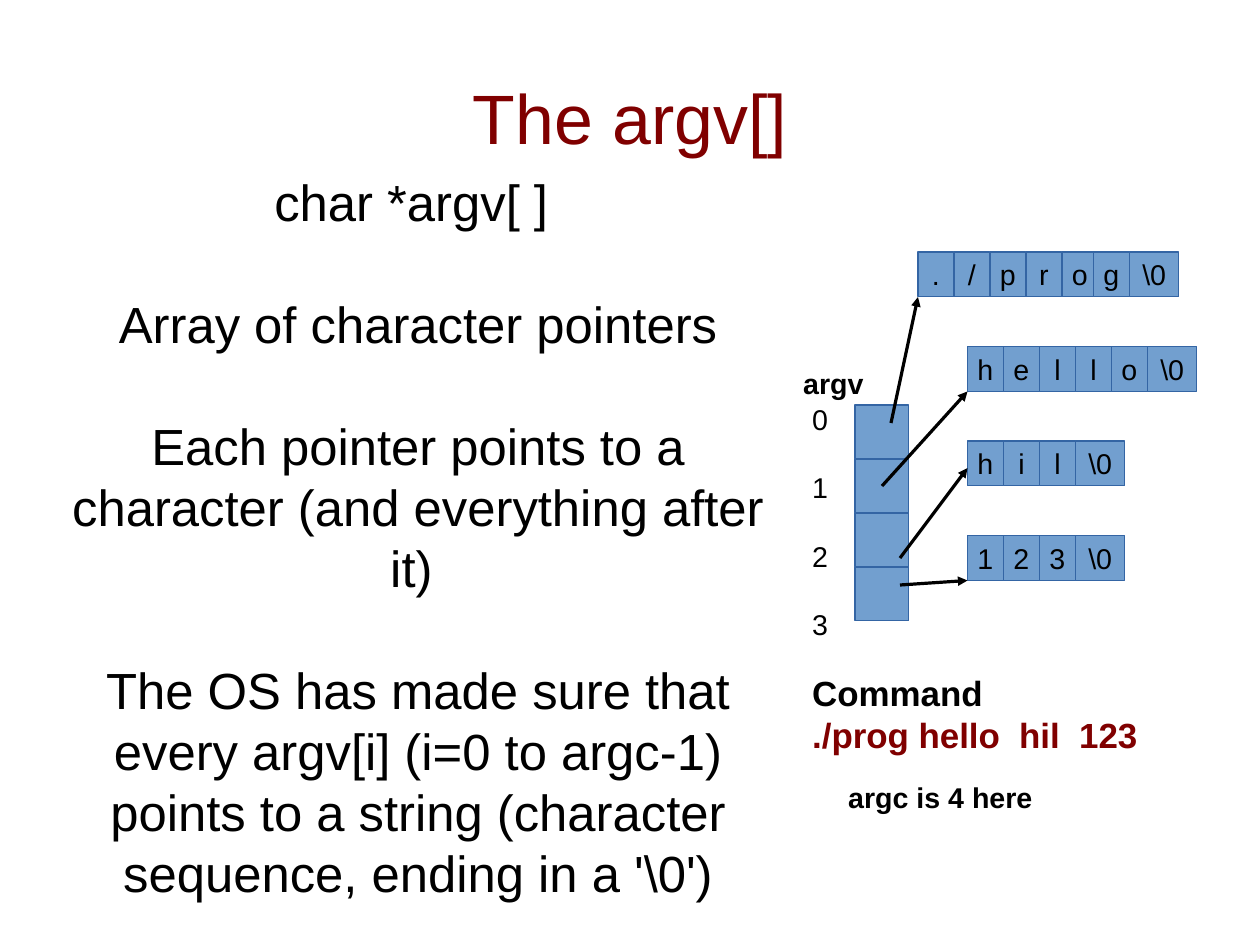
from lxml.etree import SubElement
from pptx import Presentation
from pptx.dml.color import RGBColor
from pptx.enum.shapes import MSO_CONNECTOR, MSO_SHAPE
from pptx.enum.text import MSO_ANCHOR, MSO_AUTO_SIZE, PP_ALIGN
from pptx.oxml.ns import qn
from pptx.util import Cm, Pt

BLACK = RGBColor(0x00, 0x00, 0x00)
MAROON = RGBColor(0x80, 0x00, 0x00)
BLUE = RGBColor(0x72, 0x9F, 0xCF)
DARK_BLUE = RGBColor(0x34, 0x65, 0xA4)

FONT = "Arial"
LINE_HEIGHT = 1.2
CELL_W, NUL_W, CELL_H = 0.8, 1.1, 1.0
STRINGS_TOP, STRING_STEP = 5.6, 2.1
ARGV_LEFT, ARGV_TOP, ARGV_SIZE = 19, 9, 1.2

BODY = [
    "char *argv[ ] ",
    "Array of character pointers",
    "Each pointer points to a character (and everything after it) ",
    "The OS has made sure that every argv[i] (i=0 to argc-1) points to a string "
    "(character sequence, ending in a '\\0')",
]
STRINGS = [("./prog", 20.4), ("hello", 21.5), ("hil", 21.5), ("123", 21.5)]
ARROWS = [
    (19.8, 9.4, 20.4, 6.6),
    (19.6, 10.8, 21.5, 8.7),
    (20, 12.4, 21.5, 10.4),
    (20, 13, 21.5, 12.9),
]


def place(sp, left, top, width, height):
    sp.left, sp.top, sp.width, sp.height = Cm(left), Cm(top), Cm(width), Cm(height)


def write(tf, *lines, size=18, color=BLACK, bold=False, align=PP_ALIGN.LEFT, gap=0):
    for i, line in enumerate(lines):
        p = tf.paragraphs[0] if i == 0 else tf.add_paragraph()
        p.alignment = align
        p.space_before = Pt(gap if i else 0)
        p.space_after = Pt(0)
        r = p.add_run()
        r.text = line
        r.font.name = FONT
        r.font.size = Pt(size)
        r.font.bold = bold
        r.font.color.rgb = color


def fill_placeholder(sp, box, *lines, **fmt):
    place(sp, *box)
    tf = sp.text_frame
    tf.word_wrap = True
    tf.auto_size = MSO_AUTO_SIZE.NONE
    tf.vertical_anchor = MSO_ANCHOR.MIDDLE
    tf.margin_left = tf.margin_right = tf.margin_top = tf.margin_bottom = 0
    write(tf, *lines, align=PP_ALIGN.CENTER, **fmt)


def add_label(slide, box, *lines, **fmt):
    tf = slide.shapes.add_textbox(*(Cm(v) for v in box)).text_frame
    tf.word_wrap = True
    write(tf, *lines, **fmt)
    return tf


def add_cell(slide, left, top, width, height, text=""):
    sp = slide.shapes.add_shape(
        MSO_SHAPE.RECTANGLE, Cm(left), Cm(top), Cm(width), Cm(height))
    sp.shadow.inherit = False
    sp.fill.solid()
    sp.fill.fore_color.rgb = BLUE
    sp.line.color.rgb = DARK_BLUE
    sp.line.width = Pt(0)
    if text:
        sp.text_frame.word_wrap = False
        sp.text_frame.vertical_anchor = MSO_ANCHOR.MIDDLE
        write(sp.text_frame, text, align=PP_ALIGN.CENTER)


def add_string(slide, text, left, top):
    for char in text:
        add_cell(slide, left, top, CELL_W, CELL_H, char)
        left += 0.7 if text == "./prog" and char == "o" else CELL_W
    add_cell(slide, left, top, NUL_W, CELL_H, "\\0")


def add_arrow(slide, *ends):
    line = slide.shapes.add_connector(MSO_CONNECTOR.STRAIGHT, *(Cm(v) for v in ends))
    line.line.color.rgb = BLACK
    line.line.width = Pt(0)
    SubElement(line.line._get_or_add_ln(), qn("a:tailEnd"), type="triangle")
    SubElement(line._element.spPr, qn("a:effectLst"))


def main():
    prs = Presentation()
    prs.slide_width, prs.slide_height = Cm(28), Cm(21)
    slide = prs.slides.add_slide(prs.slide_layouts[0])

    title, body = slide.placeholders
    fill_placeholder(title, (1.4, 0.84, 25.2, 3.5), "The argv[]", size=44, color=MAROON)
    fill_placeholder(body, (1.4, 3.7, 15.8, 16.46), *BODY, size=32, gap=32 * LINE_HEIGHT)

    for i, (text, left) in enumerate(STRINGS):
        add_cell(slide, ARGV_LEFT, ARGV_TOP + i * ARGV_SIZE, ARGV_SIZE, ARGV_SIZE)
        add_string(slide, text, left, STRINGS_TOP + i * STRING_STEP)
    for ends in ARROWS:
        add_arrow(slide, *ends)

    add_label(slide, (17.8, 8.8, 1, 5.24), "0", "1", "2", "3", gap=18 * LINE_HEIGHT)
    add_label(slide, (17.6, 8, 2.2, 1.67), "argv", bold=True)
    command = add_label(slide, (17.8, 14.8, 10.2, 1.98), "Command",
                        "./prog hello  hil  123", size=22, bold=True)
    command.paragraphs[1].runs[0].font.color.rgb = MAROON
    add_label(slide, (18.6, 17.2, 6.4, 0.96), "argc is 4 here", bold=True)

    prs.save("out.pptx")


if __name__ == "__main__":
    main()
